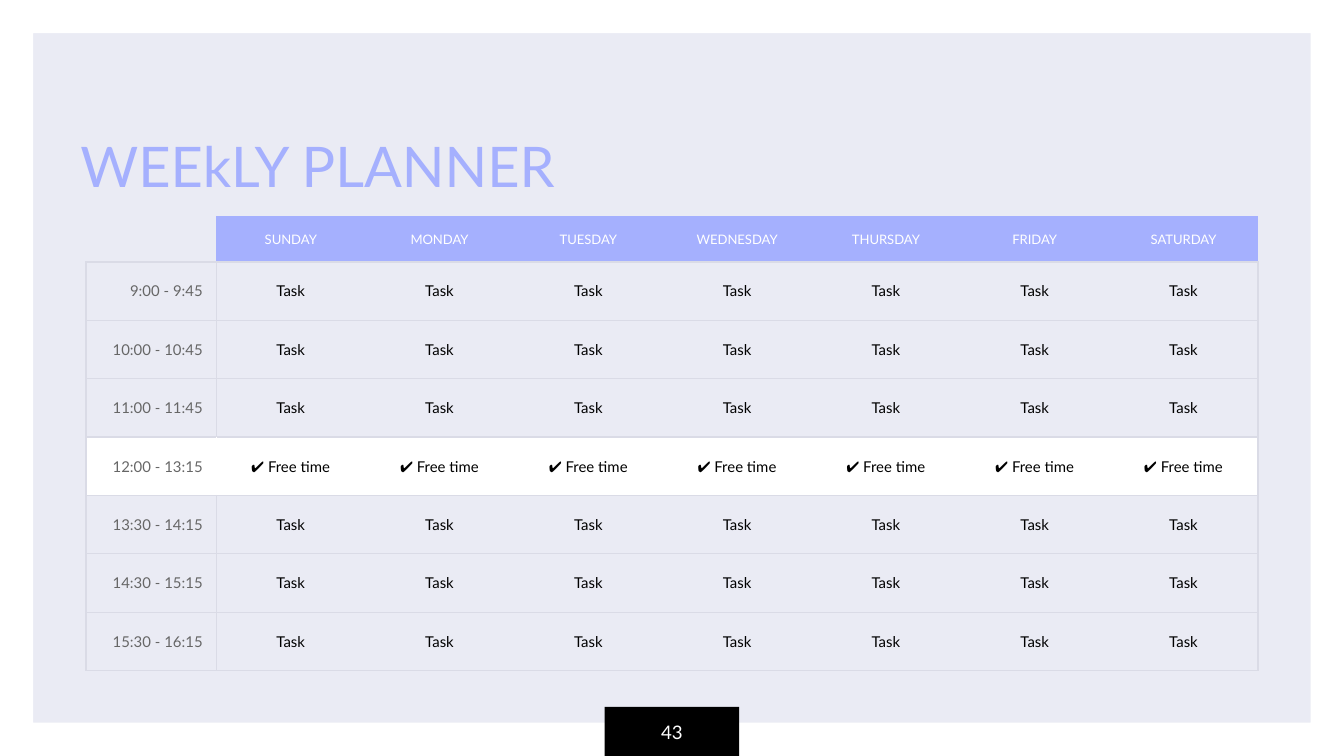
from lxml.etree import SubElement
from pptx import Presentation
from pptx.dml.color import RGBColor
from pptx.enum.shapes import MSO_SHAPE
from pptx.enum.text import MSO_ANCHOR, PP_ALIGN
from pptx.oxml.ns import qn
from pptx.util import Inches, Pt

COLORS = {
    "back": "EAEBF4",
    "accent": "A5B0FE",
    "grid": "DADBE6",
    "hour": "666666",
    "white": "FFFFFF",
    "black": "000000",
}
PLAIN = "{2D5ABB26-0587-4C30-8999-92F81FD0307C}"  # table style without grid
DAYS = ["SUNDAY", "MONDAY", "TUESDAY", "WEDNESDAY", "THURSDAY", "FRIDAY", "SATURDAY"]
HOURS = ["9:00 - 9:45", "10:00 - 10:45", "11:00 - 11:45", "12:00 - 13:15",
         "13:30 - 14:15", "14:30 - 15:15", "15:30 - 16:15"]
BREAK = "12:00 - 13:15"
WIDE = 10
HIGH = WIDE * 9 / 16


def rgb(name):
    return RGBColor.from_string(COLORS[name])


class Deck:
    font = "Lato"
    pad = Inches(0.1)

    def __init__(self, width, height):
        self.prs = Presentation()
        self.prs.slide_width = Inches(width)
        self.prs.slide_height = Inches(height)
        self.slide = self.prs.slides.add_slide(self.prs.slide_layouts[6])
        fill = self.slide.background.fill
        fill.solid()
        fill.fore_color.rgb = rgb("back")

    def shape(self, kind, box, color):
        shape = self.slide.shapes.add_shape(kind, *map(Inches, box))
        shape.shadow.inherit = False
        shape.fill.solid()
        shape.fill.fore_color.rgb = rgb(color)
        shape.line.fill.background()
        return shape

    def style(self, para, size, color, align):
        para.alignment = align
        para.font.name = self.font
        para.font.size = Pt(size)
        para.font.color.rgb = rgb(color)

    def text(self, box, text, size, color, align, anchor):
        frame = self.slide.shapes.add_textbox(*map(Inches, box)).text_frame
        frame.word_wrap = True
        frame.vertical_anchor = anchor
        frame.margin_left = frame.margin_right = self.pad
        frame.margin_top = frame.margin_bottom = self.pad
        frame.text = text
        self.style(frame.paragraphs[0], size, color, align)

    def table(self, box, first, head, rows, cols):
        """Add a table whose first column and row are fixed and the rest even."""
        left, top, width, height = box
        table = self.slide.shapes.add_table(rows, cols, *map(Inches, box)).table
        table.first_row = table.horz_banding = False
        table._tbl.tblPr.find(qn("a:tableStyleId")).text = PLAIN
        for i, col in enumerate(table.columns):
            col.width = Inches((width - first) / (cols - 1) if i else first)
        for i, row in enumerate(table.rows):
            row.height = Inches((height - head) / (rows - 1) if i else head)
        return table

    def cell(self, cell, text, size, color, align=PP_ALIGN.CENTER, fill=None, edges=None):
        """Fill one cell; edges maps sides (L, R, T, B) to colour names."""
        cell.vertical_anchor = MSO_ANCHOR.MIDDLE
        cell.margin_left = cell.margin_right = self.pad
        cell.margin_top = cell.margin_bottom = self.pad if text else 0
        cell.text = text
        self.style(cell.text_frame.paragraphs[0], size, color, align)
        props = cell._tc.get_or_add_tcPr()
        for side in "LRTB":
            line = SubElement(props, qn(f"a:ln{side}"), w=str(Pt(0.75)))
            if side in edges:
                paint = SubElement(line, qn("a:solidFill"))
                SubElement(paint, qn("a:srgbClr"), val=COLORS[edges[side]])
            else:
                SubElement(line, qn("a:noFill"))
        if fill:
            cell.fill.solid()
            cell.fill.fore_color.rgb = rgb(fill)
        else:
            cell.fill.background()


def main():
    deck = Deck(WIDE, HIGH)
    border = deck.shape(MSO_SHAPE.FRAME, (0, 0, WIDE, HIGH), "white")
    border.adjustments[0] = 0.044
    badge = (4.5, 5.26, 1, 0.37)
    deck.shape(MSO_SHAPE.RECTANGLE, badge, "black")
    deck.text((0.5, 0.64, 5.62, 0.94), "WEEkLY PLANNER", 30, "accent",
              PP_ALIGN.LEFT, MSO_ANCHOR.BOTTOM)
    deck.text(badge, "43", 10, "white", PP_ALIGN.CENTER, MSO_ANCHOR.MIDDLE)

    plan = deck.table((0.64, 1.61, 8.72, 3.38), 0.97, 0.34,
                      len(HOURS) + 1, len(DAYS) + 1)
    for col, day in enumerate([""] + DAYS):
        deck.cell(plan.cell(0, col), day, 7, "white",
                  fill="accent" if day else None, edges={"B": "grid"})
    for row, hour in enumerate(HOURS, 1):
        free = hour == BREAK
        fill = "white" if free else None
        split = "white" if free else "grid"
        rules = {"T": "grid", "B": "grid"}
        deck.cell(plan.cell(row, 0), hour, 8, "hour", PP_ALIGN.RIGHT, fill,
                  {**rules, "L": "grid", "R": split})
        for col in range(1, len(DAYS) + 1):
            edges = dict(rules)
            if col == 1:
                edges["L"] = split
            if col == len(DAYS):
                edges["R"] = "grid"
            deck.cell(plan.cell(row, col), "✔ Free time" if free else "Task",
                      8, "black", fill=fill, edges=edges)
    deck.prs.save("out.pptx")


if __name__ == "__main__":
    main()
